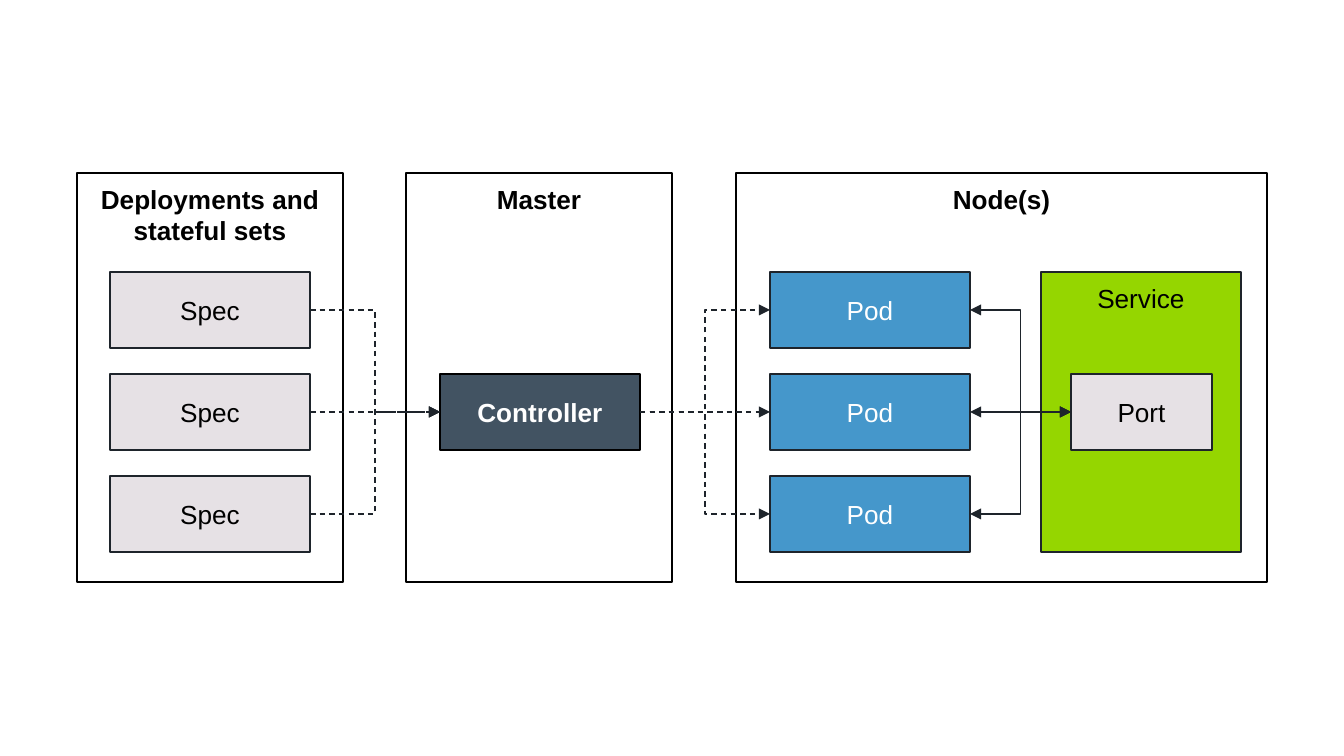
"""Build a slide showing specs, a controller, pods and a service port."""
from lxml import etree
from pptx import Presentation
from pptx.dml.color import RGBColor
from pptx.enum.dml import MSO_LINE
from pptx.enum.shapes import MSO_CONNECTOR, MSO_SHAPE
from pptx.enum.text import MSO_ANCHOR, PP_ALIGN
from pptx.oxml.ns import qn
from pptx.util import Emu, Pt

PX = 914400 / 134.4
RECT = MSO_SHAPE.RECTANGLE
ELBOW = MSO_CONNECTOR.ELBOW
DASH = MSO_LINE.DASH
TOP, MID = MSO_ANCHOR.TOP, MSO_ANCHOR.MIDDLE
LEFT, RIGHT = 1, 3
BLACK, WHITE, INK = "000000", "FFFFFF", "1E242B"
GREY, SLATE, BLUE, GREEN = "E6E1E5", "425362", "4597CB", "95D600"
WIDE, HIGH = 200, 76
ROWS = [272 + 102 * row for row in range(3)]
hue = RGBColor.from_string


def box(text, x, y, w, h, fill=None, edge=INK, color=BLACK, bold=False, anchor=MID):
    shape = slide.shapes.add_shape(RECT, *[Emu(round(n * PX)) for n in (x, y, w, h)])
    shape.shadow.inherit = False
    if fill:
        shape.fill.solid()
        shape.fill.fore_color.rgb = hue(fill)
    else:
        shape.fill.background()
    shape.line.color.rgb = hue(edge)
    shape.line.width = Pt(0.75)
    frame = shape.text_frame
    frame.word_wrap = True
    frame.vertical_anchor = anchor
    inset = Emu(round(10 * PX))
    frame.margin_left = frame.margin_right = inset
    frame.margin_top = frame.margin_bottom = inset
    frame.text = text
    for para in frame.paragraphs:
        para.alignment = PP_ALIGN.CENTER
        font = para.runs[0].font
        font.name, font.size, font.bold = "Arial", Pt(14), bold
        font.color.rgb = hue(color)
    return shape


def link(start, out, end, into, dash=None, ends=("tailEnd",)):
    wire = slide.shapes.add_connector(ELBOW, 0, 0, 0, 0)
    wire.begin_connect(start, out)
    wire.end_connect(end, into)
    wire.line.color.rgb = hue(INK)
    wire.line.width = Pt(0.75)
    if dash:
        wire.line.dash_style = dash
    props = wire.line._get_or_add_ln()
    for end_name in ends:
        etree.SubElement(props, qn(f"a:{end_name}"), type="triangle")
    etree.SubElement(wire._element.spPr, qn("a:effectLst"))


deck = Presentation()
deck.slide_width, deck.slide_height = Emu(round(1344 * PX)), Emu(round(756 * PX))
slide = deck.slides.add_slide(deck.slide_layouts[6])

for title, x, w in [
    ("Deployments and\nstateful sets", 77, 266),
    ("Master", 406, 266),
    ("Node(s)", 736, 531),
]:
    box(title, x, 173, w, 409, edge=BLACK, bold=True, anchor=TOP)

specs = [box("Spec", 110, y, WIDE, HIGH, fill=GREY) for y in ROWS]
control = box("Controller", 440, ROWS[1], WIDE, HIGH, fill=SLATE, edge=BLACK,
              color=WHITE, bold=True)
pods = [box("Pod", 770, y, WIDE, HIGH, fill=BLUE, color=WHITE) for y in ROWS]
box("Service", 1041, ROWS[0], WIDE, ROWS[2] + HIGH - ROWS[0], fill=GREEN, anchor=TOP)
port = box("Port", 1071, ROWS[1], 141, HIGH, fill=GREY)

for spec, pod in zip(specs, pods):
    link(spec, RIGHT, control, LEFT, dash=DASH)
    link(control, RIGHT, pod, LEFT, dash=DASH)
    link(port, LEFT, pod, RIGHT, ends=("headEnd", "tailEnd"))

deck.save("out.pptx")
